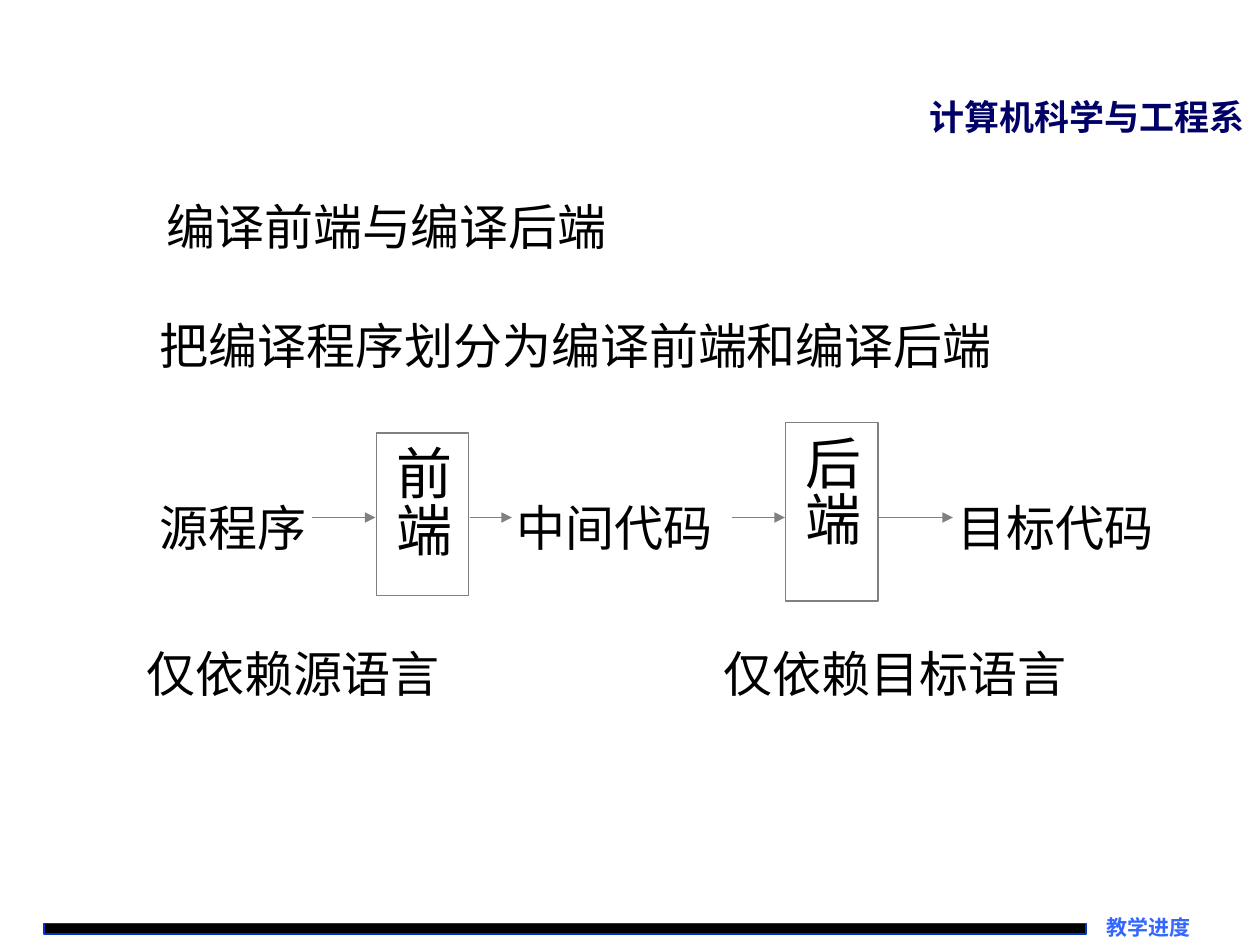
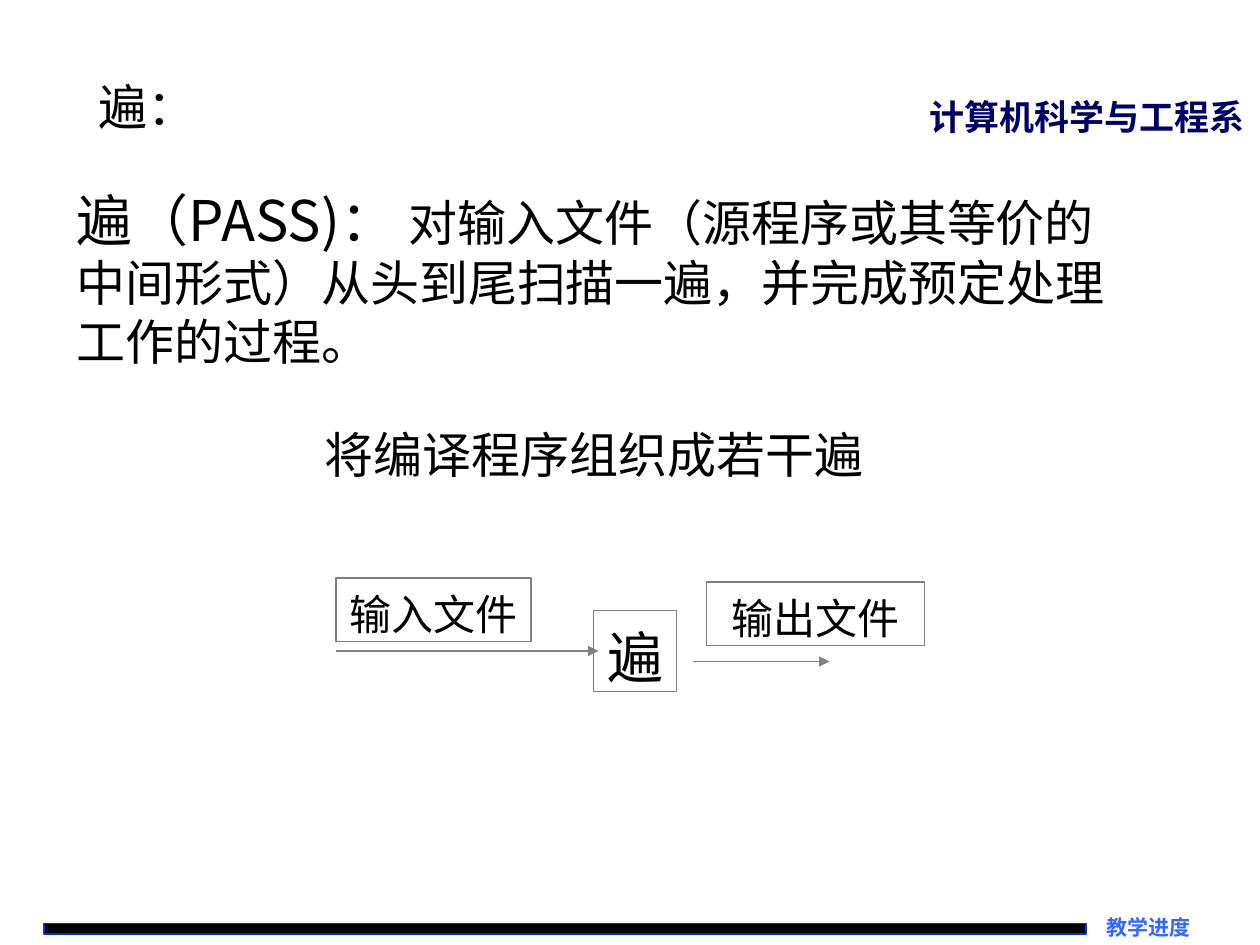
"""Builds two slides on compiler front ends, back ends and passes."""
from dataclasses import dataclass

from pptx import Presentation
from pptx.dml.color import RGBColor
from pptx.enum import shapes, text
from pptx.oxml.ns import qn
from pptx.slide import Slide
from pptx.util import Pt
from lxml import etree


@dataclass(frozen=True)
class Theme:
    ink: str = "000000"
    paper: str = "FFFFFF"
    outline: str = "808080"
    department: str = "000066"
    footer: str = "3366FF"
    band_edge: str = "0033CC"
    serif: str = "Times New Roman"
    sans: str = "Noto Sans CJK SC"
    footer_size: float = 12
    department_size: float = 20
    file_size: float = 24
    body_size: float = 28
    stage_size: float = 32
    line_width: float = 0.75
    line_height: float = 1.2
    baseline_shift: float = 0.09


THEME = Theme()


@dataclass(frozen=True)
class Label:
    left: float
    top: float
    width: float
    height: float
    spans: tuple[tuple[str, float], ...]
    font: str = THEME.serif
    color: str = THEME.ink
    bold: bool = False
    align: text.PP_ALIGN = text.PP_ALIGN.LEFT
    side_inset: float = 7.2
    end_inset: float = 3.6
    filled: bool = False
    outlined: bool = False
    vertical: bool = False


@dataclass(frozen=True)
class Arrow:
    start: float
    end: float
    y: float


def body_label(left: float, top: float, width: float, words: str, **style) -> Label:
    """Describe one line of body text."""
    return Label(left, top, width, 41, ((words, THEME.body_size),), **style)


def boxed_label(left: float, top: float, width: float, height: float,
                words: str, size: float, **style) -> Label:
    """Describe centred text in an outlined box."""
    return Label(left, top, width, height, ((words, size),),
                 align=text.PP_ALIGN.CENTER, outlined=True, **style)


def draw_label(slide: Slide, label: Label) -> None:
    """Draw a label as a box with its text."""
    frame = tuple(Pt(n) for n in (label.left, label.top, label.width, label.height))
    if label.filled or label.outlined:
        box = slide.shapes.add_shape(shapes.MSO_SHAPE.RECTANGLE, *frame)
        box.shadow.inherit = False
        paint(box, THEME.paper if label.filled else None,
              THEME.outline if label.outlined else None)
    else:
        box = slide.shapes.add_textbox(*frame)
    write(box.text_frame, label)


def paint(box, fill: str | None, edge: str | None) -> None:
    """Set the fill and the line of a shape, either of which may be absent."""
    if fill:
        box.fill.solid()
        box.fill.fore_color.rgb = RGBColor.from_string(fill)
    else:
        box.fill.background()
    if edge:
        box.line.color.rgb = RGBColor.from_string(edge)
        box.line.width = Pt(THEME.line_width)
    else:
        box.line.fill.background()


def write(frame, label: Label) -> None:
    """Put the spans of a label into a text frame."""
    frame.word_wrap = True
    frame.vertical_anchor = (text.MSO_ANCHOR.MIDDLE if label.outlined
                             else text.MSO_ANCHOR.TOP)
    largest, smallest = (pick(size for _, size in label.spans) for pick in (max, min))
    shift = 0 if label.vertical else THEME.baseline_shift * smallest
    extra = THEME.line_height * (largest - smallest)
    frame.margin_left = frame.margin_right = Pt(label.side_inset)
    frame.margin_top = Pt(label.end_inset + shift + extra)
    frame.margin_bottom = Pt(max(label.end_inset - shift, 0))
    if label.vertical:
        frame._txBody.bodyPr.set("vert", "eaVert")
    para = frame.paragraphs[0]
    para.alignment = label.align
    para.line_spacing = Pt(THEME.line_height * smallest)
    for words, size in label.spans:
        span = para.add_run()
        span.text = words
        span.font.name = label.font
        span.font.size = Pt(size)
        span.font.bold = label.bold
        span.font.color.rgb = RGBColor.from_string(label.color)
        east_asian = etree.SubElement(span.font._element, qn("a:ea"))
        east_asian.set("typeface", THEME.sans)


def draw_arrow(slide: Slide, arrow: Arrow) -> None:
    """Draw a horizontal arrow."""
    line = slide.shapes.add_connector(
        shapes.MSO_CONNECTOR.STRAIGHT,
        Pt(arrow.start), Pt(arrow.y), Pt(arrow.end), Pt(arrow.y))
    line.line.color.rgb = RGBColor.from_string(THEME.outline)
    line.line.width = Pt(THEME.line_width)
    head = etree.SubElement(line.line._get_or_add_ln(), qn("a:tailEnd"))
    head.set("type", "triangle")
    etree.SubElement(line._element.spPr, qn("a:effectLst"))


def add_page(deck, labels: list[Label], arrows: list[Arrow]) -> None:
    """Add a page with the shared band and captions, then its own content."""
    page = deck.slides.add_slide(deck.slide_layouts[6])
    band = page.shapes.add_shape(shapes.MSO_SHAPE.RECTANGLE,
                                 Pt(25.2), Pt(527.75), Pt(595.5), Pt(6))
    band.shadow.inherit = False
    paint(band, THEME.ink, THEME.band_edge)
    captions = [
        Label(620.5, 521.3, 60, 15, (("教学进度", THEME.footer_size),),
              color=THEME.footer, bold=True, align=text.PP_ALIGN.RIGHT,
              side_inset=0, end_inset=0),
        Label(524, 49, 196, 31.5, (("计算机科学与工程系", THEME.department_size),),
              color=THEME.department, bold=True),
    ]
    for label in captions + labels:
        draw_label(page, label)
    for arrow in arrows:
        draw_arrow(page, arrow)


def front_and_back_end(deck) -> None:
    """Add the page on compiler front end and back end."""
    labels = [
        body_label(88, 106, 366, "编译前端与编译后端"),
        body_label(84.25, 174.25, 588, "把编译程序划分为编译前端和编译后端",
                   font=THEME.sans, filled=True),
    ]
    labels += [body_label(left, 278, width, words, font=font, side_inset=2.9, filled=True)
               for left, width, words, font in (
                   (88.5, 91, "源程序", THEME.serif),
                   (292.5, 120, "中间代码", THEME.sans),
                   (544.5, 120, "目标代码", THEME.sans))]
    labels += [body_label(left, 361.5, width, words, font=THEME.sans, filled=True)
               for left, width, words in ((76.5, 192, "仅依赖源语言"),
                                          (406.5, 222, "仅依赖目标语言"))]
    labels += [boxed_label(left, top, 52.75, height, words, THEME.stage_size,
                           side_inset=3.6, end_inset=7.2, vertical=True)
               for left, top, height, words in ((215, 247.5, 93, "前端"),
                                                (449, 241.5, 102, "后端"))]
    arrows = [Arrow(start, end, 295.75) for start, end in (
        (178.5, 214.5), (268.5, 292.5), (418.5, 448.5), (502.5, 544.5))]
    add_page(deck, labels, arrows)


def passes(deck) -> None:
    """Add the page on compiler passes."""
    definition = (("遍（PASS)： ", THEME.stage_size),
                  ("对输入文件（源程序或其等价的中间形式）从头到尾扫描一遍，"
                   "并完成预定处理工作的过程。", THEME.body_size))
    labels = [
        body_label(49, 37.5, 216, "遍："),
        Label(36.75, 100, 612, 113, definition, font=THEME.sans),
        body_label(178.5, 236.25, 342, "将编译程序组织成若干遍"),
        boxed_label(339.25, 349, 47.5, 46, "遍", THEME.stage_size),
        boxed_label(192, 330.25, 111.5, 36.25, "输入文件", THEME.file_size),
        boxed_label(403.75, 332.5, 124.5, 36.25, "输出文件", THEME.file_size),
    ]
    add_page(deck, labels, [Arrow(192, 342, 372), Arrow(396, 474, 378)])


def main() -> None:
    """Build and save the deck."""
    deck = Presentation()
    deck.slide_width, deck.slide_height = Pt(720), Pt(540)
    front_and_back_end(deck)
    passes(deck)
    deck.save("out.pptx")


if __name__ == "__main__":
    main()
